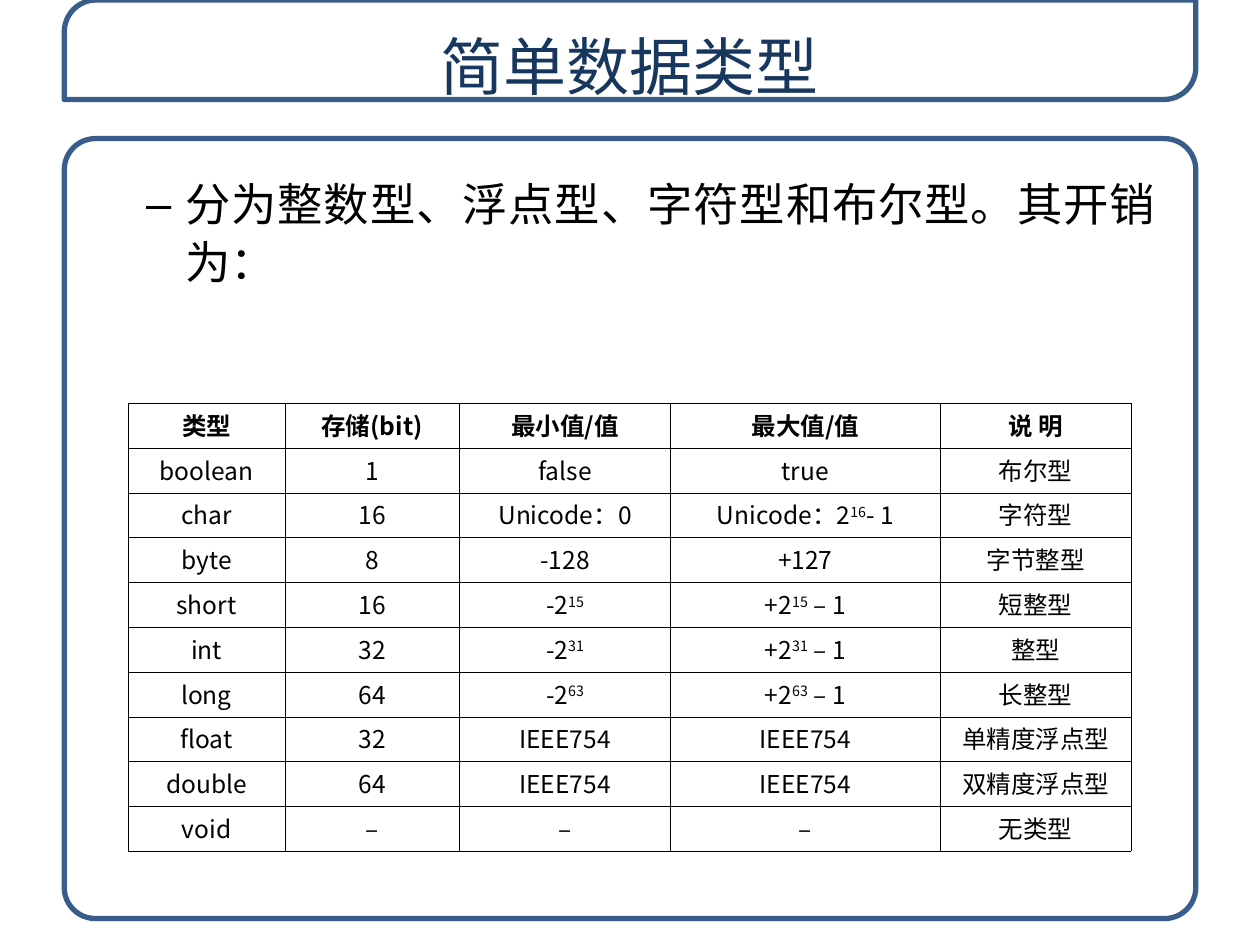
from lxml import etree
from pptx import Presentation
from pptx.dml.color import RGBColor as RGB
from pptx.enum.shapes import MSO_SHAPE as SHAPE
from pptx.enum.text import MSO_ANCHOR as ANCHOR, MSO_AUTO_SIZE as AUTO, PP_ALIGN as ALIGN
from pptx.oxml import parse_xml
from pptx.oxml.ns import nsdecls, qn
from pptx.util import Pt

COLORS = {"white": "FFFFFF", "frame": "385D8A", "title": "17375E", "text": "000000"}
FONT = "Noto Sans CJK SC"


def style_run(r, size, color, bold=False):
    r.font.size, r.font.bold, r.font.name = Pt(size), bold, FONT
    r.font.color.rgb = RGB.from_string(COLORS[color])
    etree.SubElement(r.font._element, qn("a:ea")).set("typeface", FONT)


def place(sp, left, top, width, height):
    sp.left, sp.top, sp.width, sp.height = Pt(left), Pt(top), Pt(width), Pt(height)
    tf = sp.text_frame
    tf.word_wrap, tf.auto_size = True, AUTO.NONE
    return tf


prs = Presentation()
prs.slide_width, prs.slide_height = Pt(720), Pt(540)
slide = prs.slides.add_slide(prs.slide_layouts[1])
title, body = slide.placeholders

frames = [
    (SHAPE.ROUNDED_RECTANGLE, 79.2, 445.7, [0.04]),
    (SHAPE.ROUND_2_DIAG_RECTANGLE, 0, 56.9, [0.32, 0]),
]
for i, (kind, top, height, adjustments) in enumerate(frames):
    sp = slide.shapes.add_shape(kind, Pt(36.7), Pt(top), Pt(646.6), Pt(height))
    for j, value in enumerate(adjustments):
        sp.adjustments[j] = value
    sp.shadow.inherit = False
    sp.fill.solid()
    sp.fill.fore_color.rgb = RGB.from_string(COLORS["white"])
    color = sp._element.spPr.find(qn("a:solidFill"))[0]
    etree.SubElement(color, qn("a:alpha")).set("val", "85000")
    sp.line.color.rgb = RGB.from_string(COLORS["frame"])
    sp.line.width = Pt(3)
    slide.shapes._spTree.insert(2 + i, sp._element)

tf = place(title, 36.7, 10.1, 645.8, 54.7)
tf.vertical_anchor = ANCHOR.MIDDLE
tf.text = "简单数据类型"
p = tf.paragraphs[0]
p.alignment = ALIGN.CENTER
style_run(p.runs[0], 36, "title")

tf = place(body, 36, 88.6, 635.8, 88.6)
tf.vertical_anchor = ANCHOR.TOP
tf.margin_left = tf.margin_right = Pt(11.5)
tf.margin_top = Pt(10)
tf.text = "分为整数型、浮点型、字符型和布尔型。其开销为："
p = tf.paragraphs[0]
p.level = 1
p.alignment = ALIGN.JUSTIFY
pPr = p._p.get_or_add_pPr()
pPr.set("marL", str(Pt(58.3)))
pPr.set("indent", str(Pt(-22.3)))
pPr.append(parse_xml(
    f'<a:buClr {nsdecls("a")}><a:srgbClr val="{COLORS["text"]}"/></a:buClr>'))
etree.SubElement(pPr, qn("a:buChar")).set("char", "–")
p.space_before = Pt(0)
p.line_spacing = 1.07
style_run(p.runs[0], 25.9, "text")

rows = [
    ["类型", "存储(bit)", "最小值/值", "最大值/值", "说 明"],
    ["boolean", "1", "false", "true", "布尔型"],
    ["char", "16", "Unicode：0", "Unicode：2^16^- 1", "字符型"],
    ["byte", "8", "-128", "+127", "字节整型"],
    ["short", "16", "-2^15", "+2^15^ – 1", "短整型"],
    ["int", "32", "-2^31", "+2^31^ – 1", "整型"],
    ["long", "64", "-2^63", "+2^63^ – 1", "长整型"],
    ["float", "32", "IEEE754", "IEEE754", "单精度浮点型"],
    ["double", "64", "IEEE754", "IEEE754", "双精度浮点型"],
    ["void", "–", "–", "–", "无类型"],
]
widths = [89.3, 99.9, 120.6, 154.1, 109.2]
row_height = 25.6
table = slide.shapes.add_table(
    len(rows), len(widths), Pt(73.4), Pt(230.4),
    Pt(sum(widths)), Pt(row_height * len(rows))).table
table.first_row = table.horz_banding = False
for column, width in zip(table.columns, widths):
    column.width = Pt(width)

for i, row in enumerate(rows):
    table.rows[i].height = Pt(row_height)
    for j, text in enumerate(row):
        cell = table.cell(i, j)
        cell.fill.background()
        cell.vertical_anchor = ANCHOR.MIDDLE
        tcPr = cell._tc.get_or_add_tcPr()
        for k, side in enumerate(("lnL", "lnR", "lnT", "lnB")):
            tcPr.insert(k, parse_xml(
                f'<a:{side} {nsdecls("a")} w="{Pt(0.23)}"><a:solidFill>'
                f'<a:srgbClr val="{COLORS["text"]}"/></a:solidFill></a:{side}>'))
        p = cell.text_frame.paragraphs[0]
        p.alignment = ALIGN.CENTER
        p.line_spacing = 0.9
        for k, part in enumerate(text.split("^")):
            r = p.add_run()
            r.text = part
            style_run(r, 14, "text", bold=i == 0)
            if k == 1:
                r.font._element.set("baseline", "30000")

prs.save("out.pptx")
